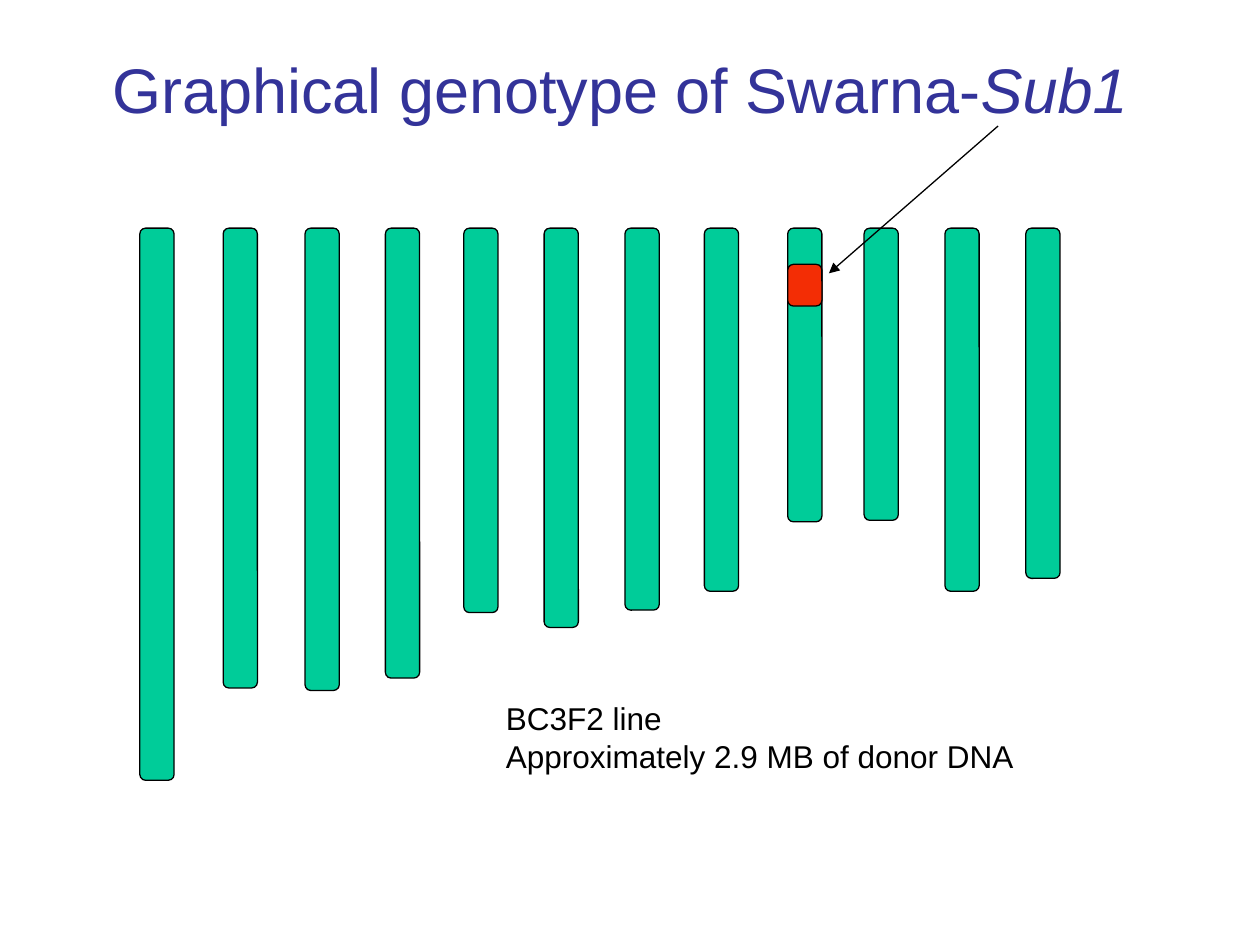
import dataclasses

import lxml.etree
import pptx
import pptx.dml.color
import pptx.enum.shapes
import pptx.enum.text
import pptx.oxml.ns
import pptx.util
from pptx.util import Cm


@dataclasses.dataclass(frozen=True)
class Theme:
    font: str = "Arial"
    title_size: int = 36
    note_size: int = 18
    outline_width: float = 0.75
    title: str = "333399"
    ink: str = "000000"
    recurrent: str = "00CC99"
    donor: str = "F32D05"


THEME = Theme()
CHROMOSOME_TOP = 4.6
CHROMOSOME_WIDTH = 0.69
CHROMOSOMES = [
    (2.82, 11.13), (4.5, 9.27), (6.15, 9.32), (7.77, 9.07),
    (9.35, 7.75), (10.97, 8.05), (12.6, 7.7), (14.2, 7.32),
    (15.88, 5.92), (17.42, 5.89), (19.05, 7.32), (20.68, 7.06),
]
SUB1_CHROMOSOME = 9


def rgb(value):
    return pptx.dml.color.RGBColor.from_string(value)


def add_text(slide, paragraphs, left, top, width, height, *, size, color,
             align=pptx.enum.text.PP_ALIGN.LEFT,
             anchor=pptx.enum.text.MSO_ANCHOR.TOP, wrap=True):
    box = slide.shapes.add_textbox(Cm(left), Cm(top), Cm(width), Cm(height))
    frame = box.text_frame
    frame.word_wrap = wrap
    frame.vertical_anchor = anchor
    for index, runs in enumerate(paragraphs):
        paragraph = frame.paragraphs[0] if index == 0 else frame.add_paragraph()
        paragraph.alignment = align
        for words, italic in runs:
            run = paragraph.add_run()
            run.text = words
            run.font.name = THEME.font
            run.font.size = pptx.util.Pt(size)
            run.font.italic = italic
            run.font.color.rgb = rgb(color)


def outline(line):
    line.color.rgb = rgb(THEME.ink)
    line.width = pptx.util.Pt(THEME.outline_width)


def add_segment(slide, left, top, height, color):
    segment = slide.shapes.add_shape(
        pptx.enum.shapes.MSO_SHAPE.ROUNDED_RECTANGLE,
        Cm(left), Cm(top), Cm(CHROMOSOME_WIDTH), Cm(height))
    segment.shadow.inherit = False
    segment.fill.solid()
    segment.fill.fore_color.rgb = rgb(color)
    outline(segment.line)


def add_arrow(slide, start, end):
    arrow = slide.shapes.add_connector(
        pptx.enum.shapes.MSO_CONNECTOR.STRAIGHT,
        *(Cm(value) for value in start + end))
    outline(arrow.line)
    qn = pptx.oxml.ns.qn
    lxml.etree.SubElement(arrow.line._get_or_add_ln(), qn("a:tailEnd"),
                          type="triangle")
    lxml.etree.SubElement(arrow._element.spPr, qn("a:effectLst"))


def main():
    presentation = pptx.Presentation()
    presentation.slide_width = Cm(25.4)
    presentation.slide_height = Cm(19.05)
    slide = presentation.slides.add_slide(presentation.slide_layouts[6])

    add_text(slide, [[("Graphical genotype of Swarna-", False), ("Sub1", True)]],
             1.07, 0.2, 22.86, 3.18, size=THEME.title_size, color=THEME.title,
             align=pptx.enum.text.PP_ALIGN.CENTER,
             anchor=pptx.enum.text.MSO_ANCHOR.MIDDLE)

    for left, length in CHROMOSOMES:
        add_segment(slide, left, CHROMOSOME_TOP, length, THEME.recurrent)
    sub1_left, _ = CHROMOSOMES[SUB1_CHROMOSOME - 1]
    add_segment(slide, sub1_left, 5.33, 0.84, THEME.donor)

    add_text(slide, [[("BC3F2 line", False)],
                     [("Approximately 2.9 MB of donor DNA", False)]],
             9.95, 13.97, 10.75, 1.78, size=THEME.note_size, color=THEME.ink,
             wrap=False)
    add_arrow(slide, (20.12, 2.54), (16.71, 5.51))

    presentation.save("out.pptx")


if __name__ == "__main__":
    main()
